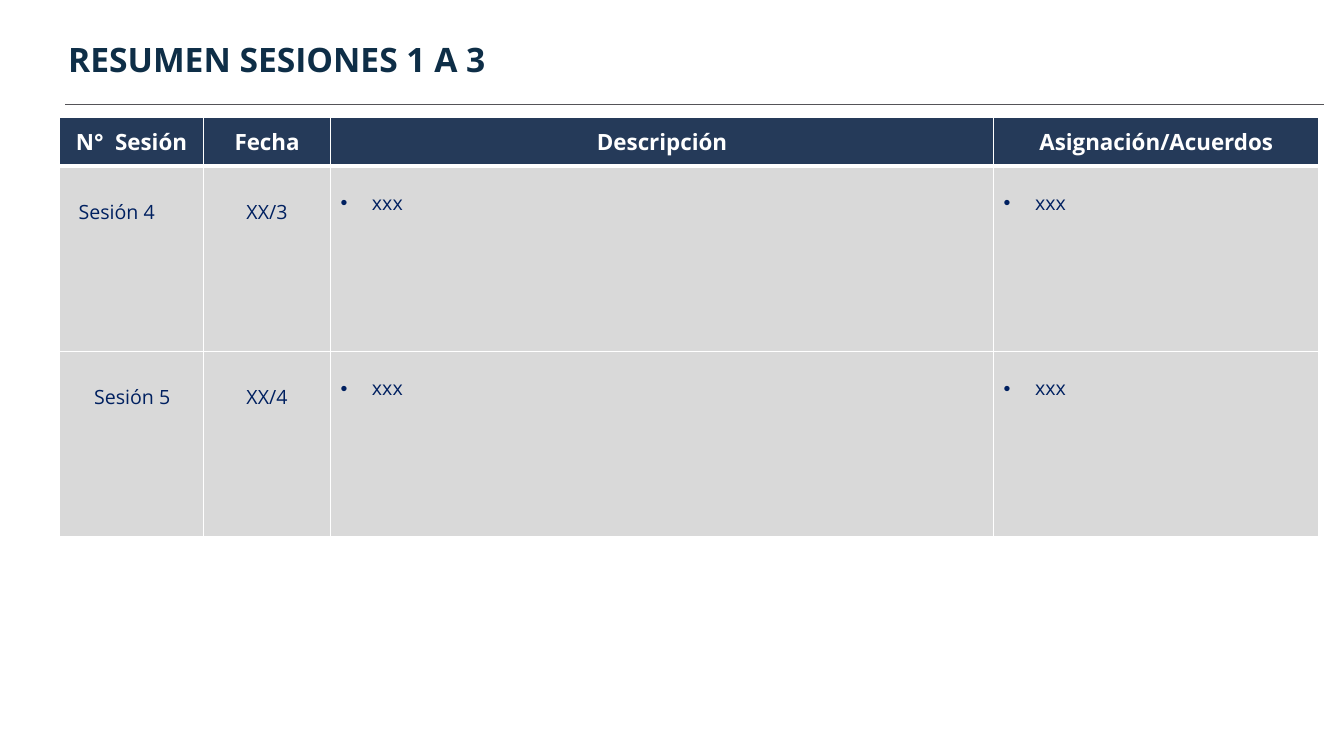
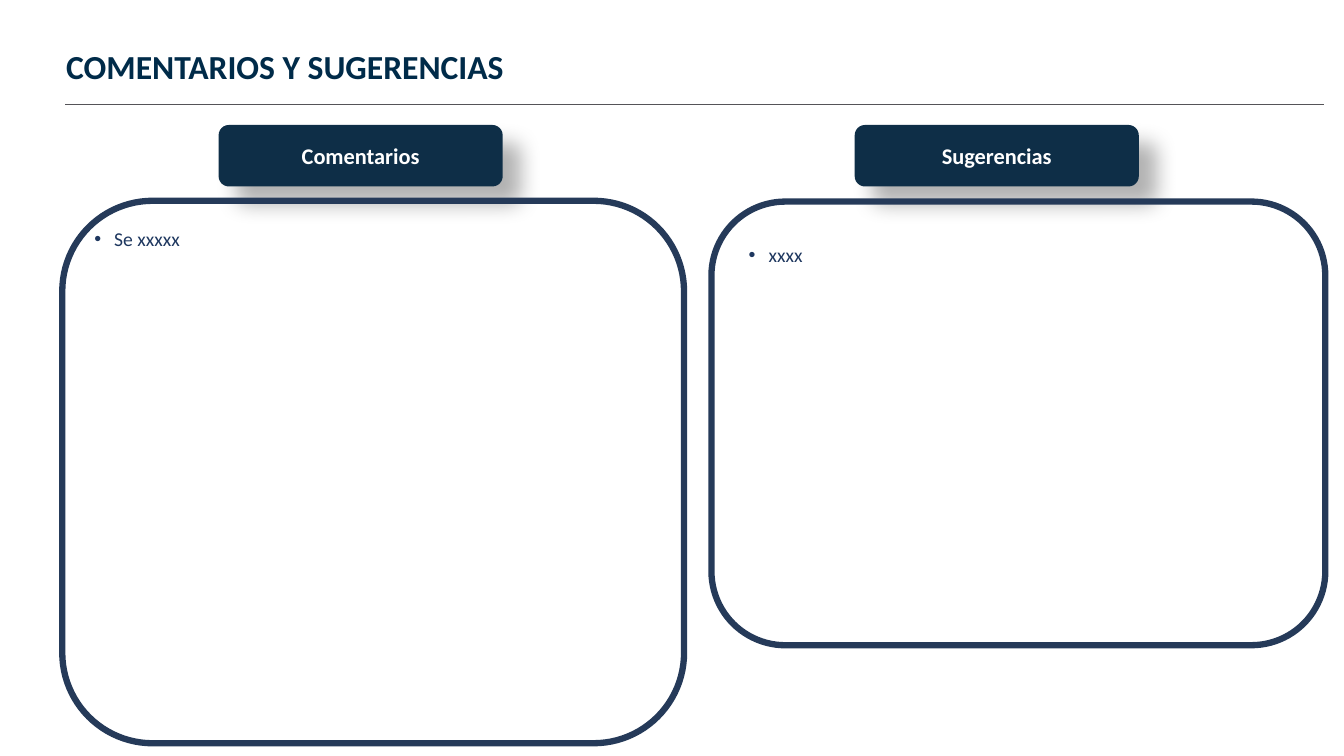
from lxml.etree import SubElement
from pptx import Presentation
from pptx.dml.color import RGBColor
from pptx.enum.shapes import MSO_CONNECTOR, MSO_SHAPE
from pptx.enum.text import MSO_ANCHOR, PP_ALIGN
from pptx.oxml.ns import qn
from pptx.util import Cm, Pt

COLORS = {
    "white": "FFFFFF",
    "rule": "555458",
    "navy": "0E2E47",
    "title": "002B49",
    "frame": "253A59",
    "cell": "D9D9D9",
    "cell_text": "002060",
    "note": "1E375F",
    "shadow": "000000",
}


def color(name):
    return RGBColor.from_string(COLORS[name])


def add_xml(parent, tag, **attributes):
    return SubElement(parent, qn(tag), {key: str(value) for key, value in attributes.items()})


class Deck:
    def __init__(self):
        self.deck = Presentation()
        self.deck.slide_width = Cm(33.87)
        self.deck.slide_height = Cm(19.05)
        self.page = None

    def add_page(self, title, left, top, font, ink):
        self.page = self.deck.slides.add_slide(self.deck.slide_layouts[6])
        self.rule()
        self.text(title, left, top, 23, 1.27, font=font, size=24, ink=ink, bold=True)

    def rule(self):
        line = self.page.shapes.add_connector(
            MSO_CONNECTOR.STRAIGHT, Cm(1.64), Cm(2.63), Cm(33.36), Cm(2.63))
        line.line.color.rgb = color("rule")
        line.line.width = Pt(0.75)
        add_xml(line._element.spPr, "a:effectLst")

    def set_text(self, frame, text, font, size, ink, bold=False,
                 align=PP_ALIGN.LEFT, indent=0, after=0, spacing=None):
        frame.word_wrap = True
        para = frame.paragraphs[0]
        para.text = text
        para.alignment = align
        para.space_after = Pt(after)
        if spacing:
            para.line_spacing = Pt(spacing)
        if indent:
            properties = para._p.get_or_add_pPr()
            properties.set("marL", str(Cm(indent)))
            properties.set("indent", str(-Cm(indent)))
            add_xml(properties, "a:buFont", typeface="Arial")
            add_xml(properties, "a:buChar", char="•")
        para.font.name = font
        para.font.size = Pt(size)
        para.font.bold = bold
        para.font.color.rgb = color(ink)

    def text(self, text, left, top, width, height, **style):
        box = self.page.shapes.add_textbox(Cm(left), Cm(top), Cm(width), Cm(height))
        self.set_text(box.text_frame, text, **style)

    def rounded(self, left, top, width, height):
        shape = self.page.shapes.add_shape(
            MSO_SHAPE.ROUNDED_RECTANGLE, Cm(left), Cm(top), Cm(width), Cm(height))
        shape.shadow.inherit = False
        return shape

    def heading(self, text, left):
        shape = self.rounded(left, 3.15, 7.16, 1.55)
        shape.fill.solid()
        shape.fill.fore_color.rgb = color("navy")
        shape.line.fill.background()
        effects = shape._element.spPr.find(qn("a:effectLst"))
        shadow = add_xml(effects, "a:outerShdw", blurRad=Pt(15), dist=Pt(18),
                         dir=45 * 60000, algn="tl", rotWithShape=0)
        tone = add_xml(shadow, "a:srgbClr", val=COLORS["shadow"])
        add_xml(tone, "a:alpha", val=30000)
        shape.text_frame.vertical_anchor = MSO_ANCHOR.MIDDLE
        self.set_text(shape.text_frame, text, "Calibri", 16, "white", True, PP_ALIGN.CENTER)

    def panel(self, left, top, width, height):
        shape = self.rounded(left, top, width, height)
        shape.fill.background()
        shape.line.color.rgb = color("frame")
        shape.line.width = Pt(4.5)

    def note(self, text, left, top, width):
        self.text(text, left, top, width, 0.86, font="Calibri", size=14, ink="note",
                  align=PP_ALIGN.JUSTIFY, indent=0.5)

    def cell(self, cell, text, fill, bottom=1, **style):
        self.set_text(cell.text_frame, text, font="Open Sans", **style)
        properties = cell._tc.get_or_add_tcPr()
        for side, width in (("L", 1), ("R", 1), ("T", 1), ("B", bottom)):
            border = add_xml(properties, f"a:ln{side}", w=Pt(width))
            add_xml(add_xml(border, "a:solidFill"), "a:srgbClr", val=COLORS["white"])
        cell.fill.solid()
        cell.fill.fore_color.rgb = color(fill)

    def table(self, headers, sessions, widths, heights, left, top):
        table = self.page.shapes.add_table(
            len(heights), len(widths), Cm(left), Cm(top),
            Cm(sum(widths)), Cm(sum(heights))).table
        for column, width in zip(table.columns, widths):
            column.width = Cm(width)
        for row, height in zip(table.rows, heights):
            row.height = Cm(height)
        for index, header in enumerate(headers):
            cell = table.cell(0, index)
            cell.vertical_anchor = MSO_ANCHOR.MIDDLE
            self.cell(cell, header, "frame", bottom=3, size=16, ink="white",
                      bold=True, align=PP_ALIGN.CENTER)
        bullet = {"align": PP_ALIGN.JUSTIFY, "indent": 0.79, "after": 6, "spacing": 13}
        styles = [{}, {"align": PP_ALIGN.CENTER}, bullet, bullet]
        for number, (inset, texts) in enumerate(sessions, 1):
            for index, (text, style) in enumerate(zip(texts, styles)):
                cell = table.cell(number, index)
                cell.margin_top = Cm(0.8)
                if index == 0:
                    cell.margin_left = Cm(inset)
                self.cell(cell, text, "cell", size=14, ink="cell_text", **style)

    def save(self):
        self.deck.save("out.pptx")


def main():
    deck = Deck()
    deck.add_page("RESUMEN SESIONES 1 A 3", 1.47, 0.86, "Open Sans", "navy")
    deck.table(
        ["N°  Sesión", "Fecha", "Descripción", "Asignación/Acuerdos"],
        [(0.48, ["Sesión 4", "XX/3", "xxx", "xxx"]),
         (0.87, ["Sesión 5", "XX/4", "xxx", "xxx"])],
        widths=[3.63, 3.2, 16.71, 8.2], heights=[1.22, 4.67, 4.67], left=1.5, top=2.97)

    deck.add_page("COMENTARIOS Y SUGERENCIAS", 1.42, 1.02, "Calibri", "title")
    deck.heading("Comentarios", 5.51)
    deck.heading("Sugerencias", 21.54)
    deck.panel(1.57, 5.06, 15.67, 13.67)
    deck.panel(17.93, 5.08, 15.47, 11.18)
    deck.note("Se xxxxx", 2.13, 5.59, 14.5)
    deck.note("xxxx", 18.62, 6, 14.1)
    deck.save()


if __name__ == "__main__":
    main()
